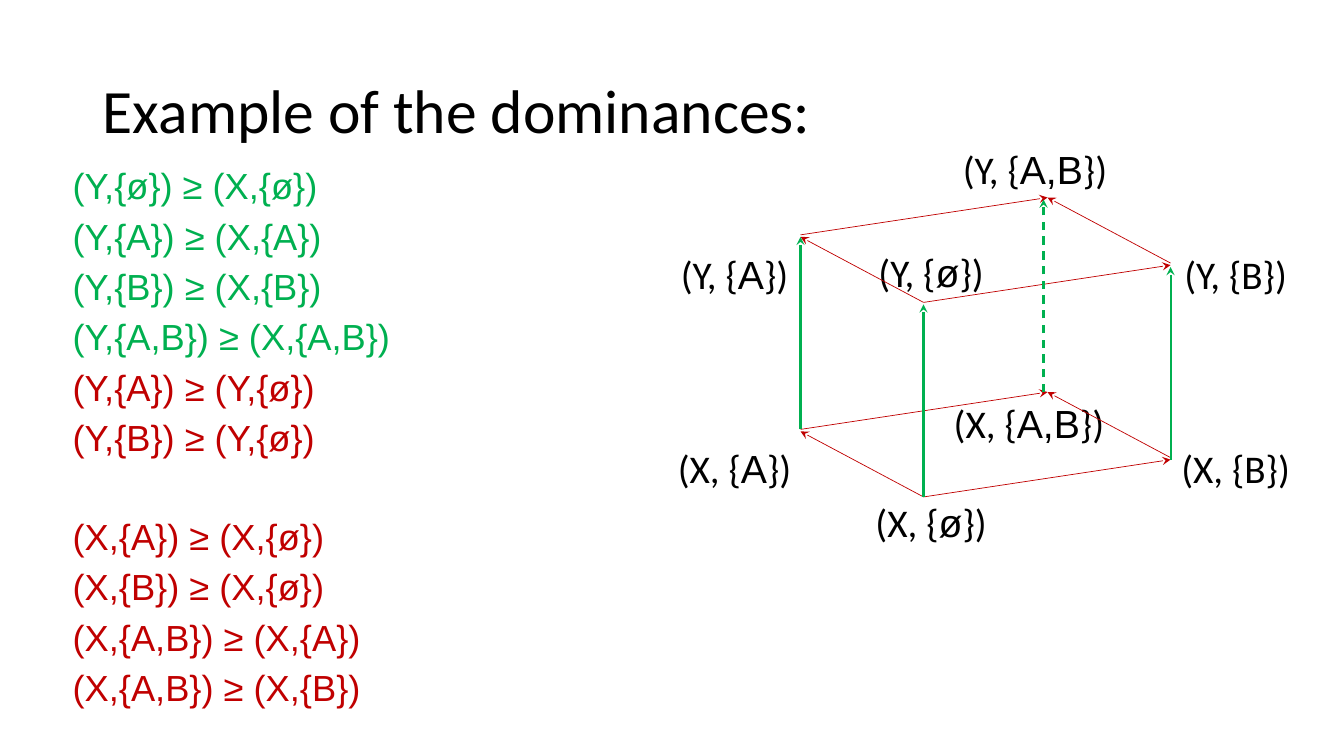
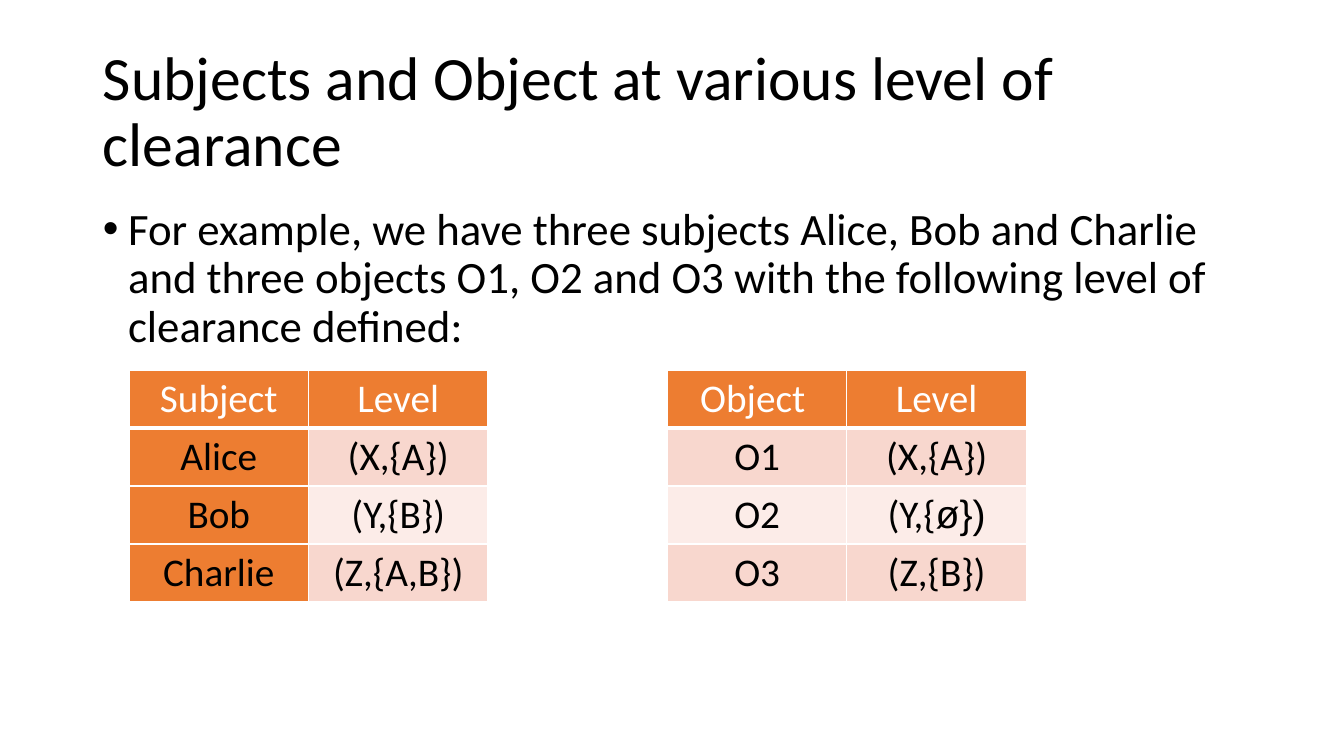
from lxml.etree import SubElement
from pptx import Presentation
from pptx.dml.color import RGBColor
from pptx.enum.dml import MSO_LINE
from pptx.enum.shapes import MSO_CONNECTOR
from pptx.enum.text import MSO_ANCHOR, MSO_AUTO_SIZE, PP_ALIGN
from pptx.oxml.ns import qn
from pptx.util import Inches, Pt

COLORS = {"black": "000000", "white": "FFFFFF", "green": "00B050", "red": "C00000",
          "orange": "ED7D31", "band": "F8D7CE", "pale": "FCECE8"}


def write(paragraph, text, size=28, color="black", font="Calibri",
          align=PP_ALIGN.LEFT, spacing=None, before=0):
    run = paragraph.add_run()
    run.text = text
    run.font.size, run.font.name, run.font.bold = Pt(size), font, False
    run.font.color.rgb = RGBColor.from_string(COLORS[color])
    paragraph.alignment = align
    paragraph.space_before = Pt(before)
    if spacing:
        paragraph.line_spacing = spacing


def arrow(shapes, start, end, color, width):
    line = shapes.add_connector(MSO_CONNECTOR.STRAIGHT, *map(Inches, start + end))
    line.line.color.rgb = RGBColor.from_string(COLORS[color])
    line.line.width = Pt(width)
    if start == HIDDEN_EDGE:
        line.line.dash_style = MSO_LINE.DASH
    properties = line._element.spPr
    SubElement(properties.find(qn("a:ln")), qn("a:tailEnd"), type="stealth")
    SubElement(properties, qn("a:effectLst"))


prs = Presentation()
prs.slide_width, prs.slide_height = Inches(13.33), Inches(7.5)

# Shared layout: title and body areas
layout = prs.slide_layouts[1]
for area, box in zip(layout.placeholders, [(0.92, 0.4, 11.5, 1.45), (0.92, 2, 11.5, 4.76)]):
    area.left, area.top, area.width, area.height = map(Inches, box)

slides = []
for heading in ["Example of the dominances:",
                "Subjects and Object at various level of clearance"]:
    slide = prs.slides.add_slide(layout)
    title_frame = slide.shapes.title.text_frame
    title_frame.vertical_anchor = MSO_ANCHOR.MIDDLE
    write(title_frame.paragraphs[0], heading, size=44, spacing=0.9)
    for placeholder in slide.placeholders:
        placeholder.text_frame.auto_size = MSO_AUTO_SIZE.NONE
    slides.append(slide)
dominance, clearance = slides

# Dominance list; the last four lines form a separate block
relations = [
    ("(Y,{ø}) ≥ (X,{ø})", "green"), ("(Y,{A}) ≥ (X,{A})", "green"),
    ("(Y,{B}) ≥ (X,{B})", "green"), ("(Y,{A,B}) ≥ (X,{A,B})", "green"),
    ("(Y,{A}) ≥ (Y,{ø})", "red"), ("(Y,{B}) ≥ (Y,{ø})", "red"),
    ("(X,{A}) ≥ (X,{ø})", "red"), ("(X,{B}) ≥ (X,{ø})", "red"),
    ("(X,{A,B}) ≥ (X,{A})", "red"), ("(X,{A,B}) ≥ (X,{B})", "red")]
relation_list = dominance.placeholders[1]
relation_list.left, relation_list.top = Inches(0.62), Inches(1.62)
relation_list.width, relation_list.height = Inches(11.79), Inches(5.58)
for number, (relation, color) in enumerate(relations):
    frame = relation_list.text_frame
    paragraph = frame.add_paragraph() if number else frame.paragraphs[0]
    write(paragraph, relation, size=25.9, color=color, font="Arial", spacing=0.9,
          before=42.8 if number == 6 else 8)
    indent = paragraph._p.get_or_add_pPr()
    indent.set("marL", "0")
    indent.set("indent", "0")
    SubElement(indent, qn("a:buNone"))

# Lattice labels: level, categories, category font, left, top, width
lattice = dominance.shapes.add_group_shape().shapes
labels = [
    ("X", "B", "Calibri", 11.49, 4.36, 1.53), ("X", "ø", "Arial", 8.47, 4.89, 1.53),
    ("X", "A", "Arial", 6.52, 4.36, 1.53), ("X", "A,B", "Arial", 9.24, 3.91, 1.93),
    ("Y", "B", "Calibri", 11.49, 2.43, 1.53), ("Y", "ø", "Arial", 8.47, 2.41, 1.53),
    ("Y", "A", "Arial", 6.52, 2.43, 1.53), ("Y", "A,B", "Arial", 9.3, 1.39, 1.93)]
for level, categories, font, left, top, width in labels:
    label = lattice.add_textbox(*map(Inches, (left, top, width, 0.35))).text_frame
    label.word_wrap = True
    label.auto_size = MSO_AUTO_SIZE.SHAPE_TO_FIT_TEXT
    for text, face in [(f"({level}, {{", "Calibri"), (categories, font), ("})", "Calibri")]:
        write(label.paragraphs[0], text, font=face, align=PP_ALIGN.CENTER)

# Lattice arrows: red within each level, green from X up to Y
HIDDEN_EDGE = (10.35, 3.89)
LEVEL_RISE = 1.93
category_edges = [((9.16, 4.93), (11.61, 4.56)), ((9.16, 4.93), (7.94, 4.28)),
                  ((7.94, 4.26), (10.39, 3.89)), ((11.61, 4.54), (10.39, 3.89))]
for rise in (0, LEVEL_RISE):
    for (x1, y1), (x2, y2) in category_edges:
        arrow(lattice, (x1, y1 - rise), (x2, y2 - rise), "red", 0.5)
for x, y in [(7.94, 4.26), (9.16, 4.93), (11.61, 4.56), HIDDEN_EDGE]:
    arrow(lattice, (x, y), (x, y - 1.91), "green", 1.5)

# Clearance introduction
intro = clearance.placeholders[1].text_frame.paragraphs[0]
write(intro, "For example, we have three subjects Alice, Bob and Charlie and three objects "
      "O1, O2 and O3 with the following level of clearance defined:",
      size=32, spacing=0.9, before=10)
intro_indent = intro._p.get_or_add_pPr()
intro_indent.set("marL", str(Inches(0.25)))
intro_indent.set("indent", str(Inches(-0.25)))

# Clearance table, with an open column between subjects and objects
levels = [["Subject", "Level", "", "Object ", "Level"],
          ["Alice", "(X,{A})", "", "O1", "(X,{A})"],
          ["Bob", "(Y,{B})", "", "O2", "(Y,{ø})"],
          ["Charlie", "(Z,{A,B})", "", "O3", "(Z,{B})"]]
table = clearance.shapes.add_table(
    4, 5, Inches(1.28), Inches(3.67), Inches(8.9), Inches(2.24)).table
for column in table.columns:
    column.width = Inches(1.78)
for row, values in enumerate(levels):
    table.rows[row].height = Inches(0.56)
    for col, value in enumerate(values):
        cell = table.cell(row, col)
        cell_properties = cell._tc.get_or_add_tcPr()
        for side in ("lnL", "lnR", "lnT", "lnB"):
            weight = 3 if row == 0 and side == "lnB" else 1
            border = SubElement(cell_properties, qn(f"a:{side}"), w=str(Pt(weight)))
            border_fill = SubElement(border, qn("a:solidFill"))
            SubElement(border_fill, qn("a:srgbClr"), val=COLORS["white"])
        if not value:
            cell.fill.background()
            continue
        fill = "orange" if row == 0 or col == 0 else "band" if row % 2 else "pale"
        cell.fill.solid()
        cell.fill.fore_color.rgb = RGBColor.from_string(COLORS[fill])
        start, empty_set, end = value.partition("ø")
        for text, font in [(start, "Calibri"), (empty_set + end, "Arial")]:
            if text:
                write(cell.text_frame.paragraphs[0], text, font=font,
                      color="black" if row else "white", align=PP_ALIGN.CENTER)

prs.save("out.pptx")
